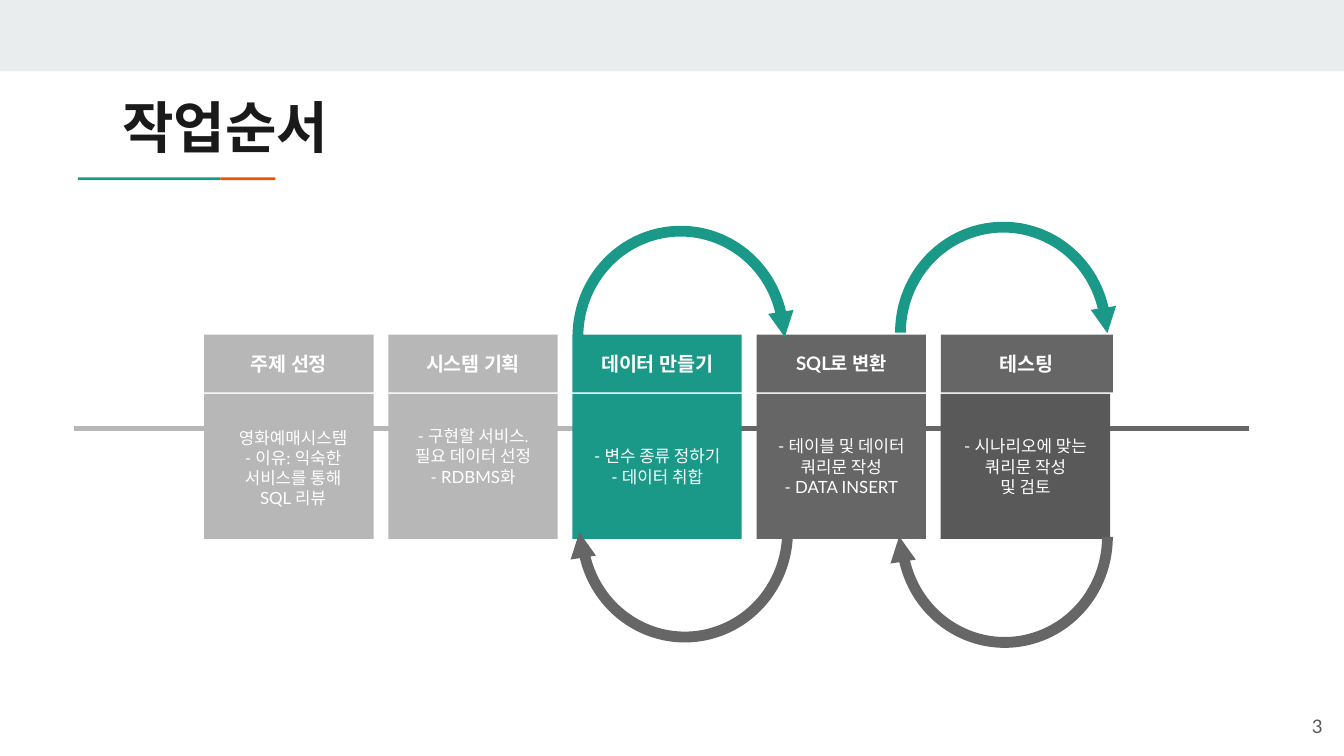
from lxml import etree
from pptx import Presentation
from pptx.dml.color import RGBColor
from pptx.enum import shapes, text
from pptx.oxml.ns import qn
from pptx.util import Inches, Pt

TEAL = RGBColor(0x1A, 0x99, 0x88)
ORANGE = RGBColor(0xEB, 0x56, 0x00)
BAND = RGBColor(0xE9, 0xED, 0xEE)
LIGHT = RGBColor(0xB7, 0xB7, 0xB7)
GRAY = RGBColor(0x66, 0x66, 0x66)
DARK = RGBColor(0x59, 0x59, 0x59)
INK = RGBColor(0x1A, 0x1A, 0x1A)
WHITE = RGBColor(0xFF, 0xFF, 0xFF)
HANGUL = "Noto Sans CJK KR"
CENTER = text.PP_ALIGN.CENTER
MIDDLE = text.MSO_ANCHOR.MIDDLE

STEPS = [
    ("주제 선정", 10.5, 1.26, [], LIGHT, LIGHT, 0.1),
    ("시스템 기획", 10.5, 1.26, ["- 구현할 서비스. 필요 데이터 선정", "- RDBMS화"],
     LIGHT, LIGHT, 0.25),
    ("데이터 만들기", 10.5, 1.26, ["- 변수 종류 정하기", "- 데이터 취합"], TEAL, TEAL, 0.1),
    ("SQL로 변환", 10, 1.26, ["- 테이블 및 데이터 쿼리문 작성", "- DATA INSERT"],
     GRAY, GRAY, 0.1),
    ("테스팅", 10.5, 1.28, ["- 시나리오에 맞는 쿼리문 작성", "및 검토"], GRAY, DARK, 0.1),
]
TOPIC = ["영화예매시스템", "- 이유: 익숙한", "서비스를 통해", "SQL 리뷰"]


def write(sp, lines, size=9, color=WHITE, bold=False, font="Lato", align=CENTER,
          anchor=MIDDLE, wrap=True, inset=0.1, bottom=None):
    """Fill a shape with one formatted paragraph per line."""
    tf = sp.text_frame
    tf.word_wrap = wrap
    tf.vertical_anchor = anchor
    tf.margin_left = tf.margin_right = tf.margin_top = Inches(inset)
    tf.margin_bottom = Inches(inset if bottom is None else bottom)
    for i, line in enumerate(lines):
        p = tf.add_paragraph() if i else tf.paragraphs[0]
        p.alignment = align
        r = p.add_run()
        r.text = line
        r.font.size, r.font.bold, r.font.name = Pt(size), bold, font
        r.font.color.rgb = color
        latin = r.font._element.find(qn("a:latin"))
        latin.addnext(etree.Element(qn("a:ea"), typeface=HANGUL))


def add_block(slide, left, top, width, height, color,
              kind=shapes.MSO_SHAPE.RECTANGLE, rotation=0):
    """Add a flat filled preset shape."""
    sp = slide.shapes.add_shape(kind, Inches(left), Inches(top), Inches(width), Inches(height))
    sp.shadow.inherit = False
    sp.fill.solid()
    sp.fill.fore_color.rgb = color
    sp.line.fill.background()
    sp.rotation = rotation
    return sp


def add_text(slide, left, top, width, height, lines, **style):
    """Add a text box with formatted lines."""
    sp = slide.shapes.add_textbox(Inches(left), Inches(top), Inches(width), Inches(height))
    write(sp, lines, **style)


def add_line(slide, start, end, y, color):
    """Add a horizontal timeline segment."""
    cx = slide.shapes.add_connector(shapes.MSO_CONNECTOR.STRAIGHT, Inches(start), Inches(y),
                                    Inches(end), Inches(y))
    cx.line.color.rgb = color
    cx.line.width = Pt(3)
    etree.SubElement(cx._element.spPr, qn("a:effectLst"))


def add_loop(slide, left, top, color, tip_left, tip_top, turn=0):
    """Add a half-circle arrow made of an arc and its tip."""
    arc = add_block(slide, left, top, 1.61, 1.65, color, shapes.MSO_SHAPE.BLOCK_ARC, turn)
    for i, value in enumerate((108, 211.46, 0.05)):
        arc.adjustments[i] = value
    add_block(slide, tip_left, tip_top, 0.19, 0.19, color,
              shapes.MSO_SHAPE.ISOSCELES_TRIANGLE, (171.1 + turn) % 360)


def add_step(slide, left, step):
    """Add a step heading with its detail box."""
    heading, size, width, details, head_color, body_color, bottom = step
    body = add_block(slide, left, 2.93, 1.26, 1.08, body_color)
    if details:
        write(body, details, bottom=bottom)
    head = add_block(slide, left, 2.49, width, 0.43, head_color)
    write(head, [heading], size=size, bold=True)


def add_title(slide, title):
    """Place and format the title with its two-colour underline."""
    sp = slide.shapes.title
    sp.left, sp.top, sp.width, sp.height = (Inches(v) for v in (0.81, 0.59, 8.41, 0.59))
    write(sp, [title], size=30, color=INK, bold=True, font=HANGUL,
          align=text.PP_ALIGN.LEFT, anchor=text.MSO_ANCHOR.TOP)
    add_block(slide, 0.58, 1.32, 1.06, 0.02, TEAL)
    add_block(slide, 1.64, 1.32, 0.41, 0.02, ORANGE)


def main():
    """Build the work sequence slide."""
    prs = Presentation()
    prs.slide_width = Inches(10)
    prs.slide_height = Inches(10 * 9 / 16)
    slide = prs.slides.add_slide(prs.slide_layouts[5])
    add_block(slide, 0, 0, 10, 0.53, BAND)
    add_title(slide, "작업순서")
    add_line(slide, 3.58, 9.29, 3.19, GRAY)
    add_line(slide, 0.55, 4.5, 3.19, LIGHT)
    for i, step in enumerate(STEPS):
        add_step(slide, 1.52 + 1.37 * i, step)
    add_text(slide, 1.57, 3.13, 1.22, 0.81, TOPIC, wrap=False, inset=0.05,
             anchor=text.MSO_ANCHOR.TOP)
    add_loop(slide, 4.26, 1.68, TEAL, 5.73, 2.32)
    add_loop(slide, 4.29, 3.13, GRAY, 4.23, 3.96, turn=180)
    add_loop(slide, 6.66, 1.65, TEAL, 8.13, 2.29)
    add_loop(slide, 6.67, 3.17, GRAY, 6.61, 3.99, turn=180)
    add_text(slide, 9.34, 5.19, 0.6, 0.43, ["3"], size=10, color=DARK,
             align=text.PP_ALIGN.RIGHT)
    prs.save("out.pptx")


if __name__ == "__main__":
    main()
